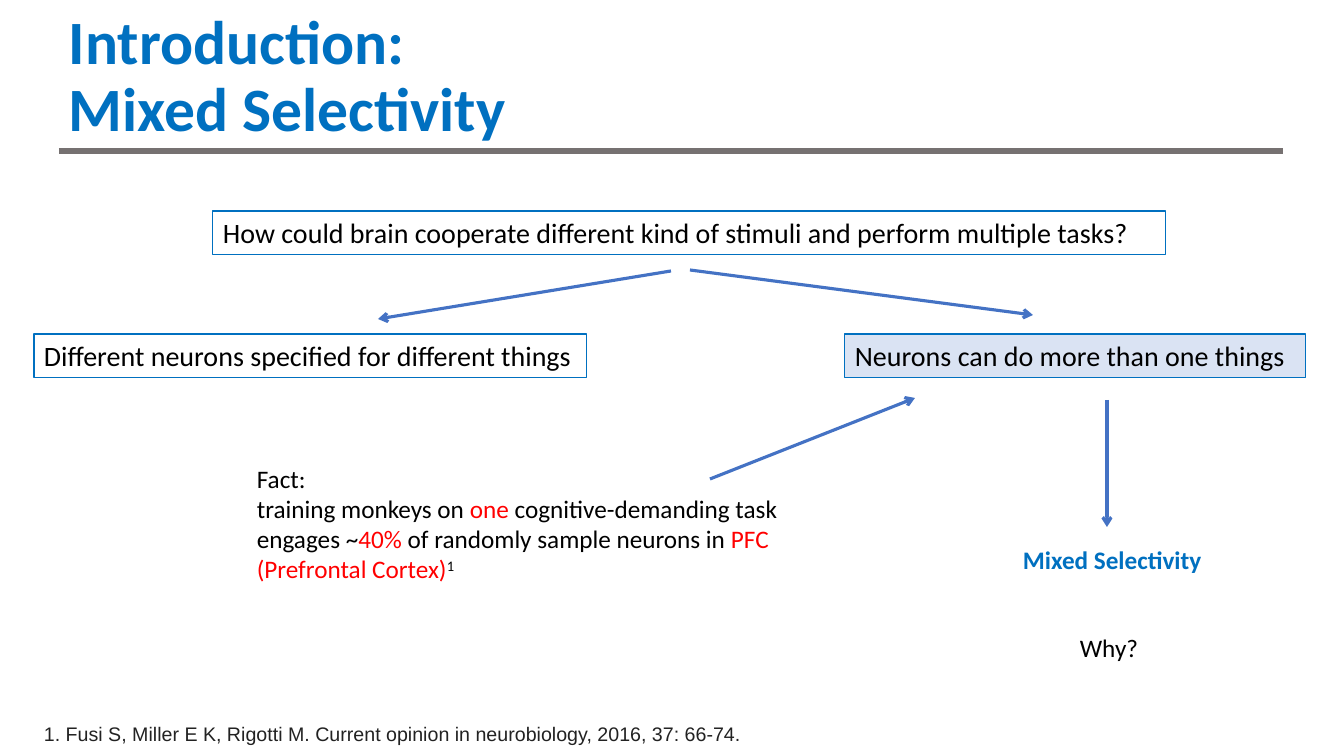
from lxml import etree
from pptx import Presentation
from pptx.dml.color import RGBColor
from pptx.enum.shapes import MSO_CONNECTOR, MSO_SHAPE
from pptx.enum.text import MSO_ANCHOR, MSO_AUTO_SIZE, PP_ALIGN
from pptx.oxml.ns import qn
from pptx.util import Pt

EMU_PER_PX = 914400 / 100.8
STRAIGHT = MSO_CONNECTOR.STRAIGHT
RECTANGLE = MSO_SHAPE.RECTANGLE
LEFT = PP_ALIGN.LEFT
TOP, MIDDLE = MSO_ANCHOR.TOP, MSO_ANCHOR.MIDDLE
NO_FIT, GROW = MSO_AUTO_SIZE.NONE, MSO_AUTO_SIZE.SHAPE_TO_FIT_TEXT
BLANK_LAYOUT = 6

BLACK = "000000"
BLUE = "0070C0"
ARROW_BLUE = "4472C4"
PALE_BLUE = "DAE3F3"
GREY = "767171"
RED = "FF0000"
DARK = "222222"


def px(*lengths):
    return [round(length * EMU_PER_PX) for length in lengths]


def rgb(value):
    return RGBColor.from_string(value)


def write_text(shape, paragraphs, size=18, color=BLACK, font="Calibri", bold=False,
               wrap=True, anchor=TOP, fit=GROW, line_spacing=None):
    """Fill a shape with text; each paragraph is a string or a list of (text, color, baseline)."""
    frame = shape.text_frame
    frame.word_wrap = wrap
    frame.auto_size = fit
    frame.vertical_anchor = anchor
    for index, content in enumerate(paragraphs):
        paragraph = frame.add_paragraph() if index else frame.paragraphs[0]
        paragraph.alignment = LEFT
        paragraph.line_spacing = line_spacing
        runs = [(content, color, 0)] if isinstance(content, str) else content
        for text, run_color, baseline in runs:
            run = paragraph.add_run()
            run.text = text
            run.font.name = font
            run.font.size = Pt(size)
            run.font.bold = bold
            run.font.color.rgb = rgb(run_color)
            if baseline:
                run.font._element.set("baseline", str(baseline * 1000))


def add_text(slide, bounds, paragraphs, **text_format):
    write_text(slide.shapes.add_textbox(*px(*bounds)), paragraphs, **text_format)


def add_box(slide, bounds, text, fill=None):
    box = slide.shapes.add_shape(RECTANGLE, *px(*bounds))
    box.shadow.inherit = False
    if fill:
        box.fill.solid()
        box.fill.fore_color.rgb = rgb(fill)
    else:
        box.fill.background()
    box.line.color.rgb = rgb(BLUE)
    box.line.width = Pt(0.75)
    write_text(box, [text], size=20, wrap=False)


def add_line(slide, ends, color, width, arrow=False):
    connector = slide.shapes.add_connector(STRAIGHT, *px(*ends))
    connector.line.color.rgb = rgb(color)
    connector.line.width = Pt(width)
    if arrow:
        etree.SubElement(connector.line._get_or_add_ln(), qn("a:tailEnd"), type="arrow")
    etree.SubElement(connector._element.spPr, qn("a:effectLst"))


def main():
    presentation = Presentation()
    presentation.slide_width, presentation.slide_height = px(1344, 756)
    slide = presentation.slides.add_slide(presentation.slide_layouts[BLANK_LAYOUT])

    add_text(slide, (59, 5, 1159, 146), ["Introduction:", "Mixed Selectivity"],
             size=44, color=BLUE, bold=True, anchor=MIDDLE, fit=NO_FIT, line_spacing=0.9)
    add_line(slide, (59, 151, 1283, 151), GREY, 4.5)

    add_box(slide, (213, 211, 953, 44),
            "How could brain cooperate different kind of stimuli and perform multiple tasks?")
    add_box(slide, (34, 334, 553, 44), "Different neurons specified for different things")
    add_box(slide, (845, 334, 461, 44), "Neurons can do more than one things", PALE_BLUE)

    for ends in (
        (671, 271, 378, 319),
        (690, 270, 1033, 315),
        (710, 479, 915, 398),
        (1107, 400, 1107, 527),
    ):
        add_line(slide, ends, ARROW_BLUE, 2.25, arrow=True)

    add_text(slide, (247, 458, 554, 132), [
        "Fact:",
        [
            ("training monkeys on ", BLACK, 0),
            ("one", RED, 0),
            (" cognitive-demanding task engages ~", BLACK, 0),
            ("40% ", RED, 0),
            ("of randomly sample neurons in ", BLACK, 0),
            ("PFC (Prefrontal Cortex)", RED, 0),
            ("1", BLACK, 30),
        ],
    ])
    add_text(slide, (1013, 539, 201, 40), ["Mixed Selectivity"],
             color=BLUE, bold=True, wrap=False)
    add_text(slide, (1070, 627, 85, 40), ["Why?"], wrap=False)
    add_text(slide, (34, 717, 1199, 34),
             ["1. Fusi S, Miller E K, Rigotti M. Current opinion in neurobiology, 2016, 37: 66-74."],
             size=14, color=DARK, font="Arial")

    presentation.save("out.pptx")


if __name__ == "__main__":
    main()
